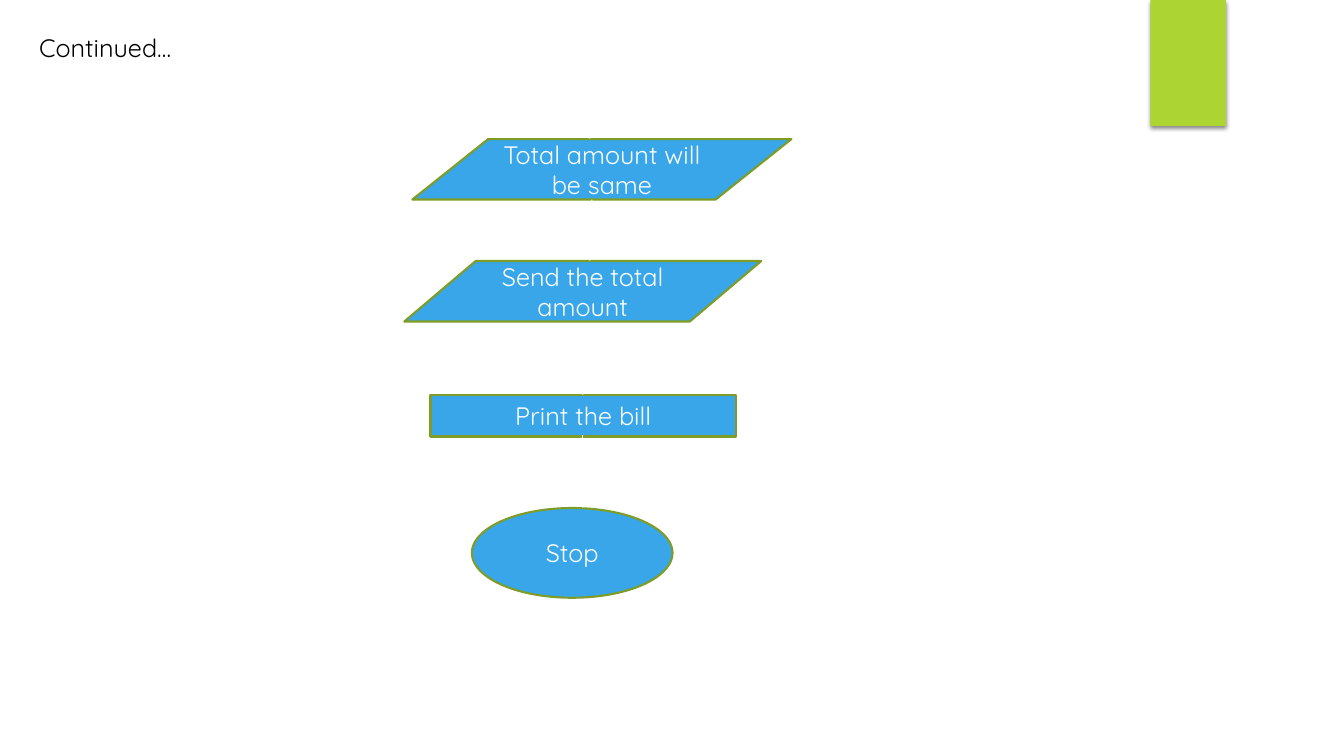
from dataclasses import dataclass

from lxml.etree import SubElement
from pptx import Presentation
from pptx.dml.color import RGBColor
from pptx.enum.shapes import MSO_CONNECTOR, MSO_SHAPE
from pptx.enum.text import MSO_ANCHOR, MSO_AUTO_SIZE, PP_ALIGN
from pptx.oxml.ns import qn
from pptx.util import Inches, Pt


@dataclass(frozen=True)
class Theme:
    font: str = "Quicksand"
    size: Pt = Pt(18)
    black: RGBColor = RGBColor(0x00, 0x00, 0x00)
    white: RGBColor = RGBColor(0xFF, 0xFF, 0xFF)
    lime: RGBColor = RGBColor(0xAC, 0xD4, 0x33)
    blue: RGBColor = RGBColor(0x38, 0xA6, 0xE9)
    olive: RGBColor = RGBColor(0x7F, 0x9D, 0x26)


theme = Theme()


def add_text(tf, text, color, align):
    tf.word_wrap = True
    p = tf.paragraphs[0]
    p.alignment = align
    r = p.add_run()
    r.text = text
    r.font.name = theme.font
    r.font.size = theme.size
    r.font.color.rgb = color


prs = Presentation()
prs.slide_width = Inches(13.33)
prs.slide_height = Inches(7.5)
s = prs.slides.add_slide(prs.slide_layouts[6])
s.background.fill.solid()
s.background.fill.fore_color.rgb = theme.white

tab = s.shapes.add_shape(MSO_SHAPE.RECTANGLE, Inches(11.41), 0, Inches(0.75), Inches(1.25))
tab.fill.solid()
tab.fill.fore_color.rgb = theme.lime
tab.line.fill.background()
effects = SubElement(tab.element.spPr, qn("a:effectLst"))
shadow = SubElement(effects, qn("a:outerShdw"), blurRad=str(Pt(3)), dist=str(Pt(2)),
                    dir="5400000", algn="ctr", rotWithShape="0")
tint = SubElement(shadow, qn("a:srgbClr"), val=str(theme.black))
SubElement(tint, qn("a:alpha"), val="45000")

steps = [
    ("Total amount will be same", MSO_SHAPE.FLOWCHART_DATA, 4.09, 1.38, 3.76, 0.6),
    ("Send the total amount", MSO_SHAPE.FLOWCHART_DATA, 4.01, 2.59, 3.54, 0.6),
    ("Print the bill", MSO_SHAPE.FLOWCHART_PROCESS, 4.27, 3.92, 3.03, 0.41),
    ("Stop", MSO_SHAPE.OVAL, 4.68, 5.04, 1.99, 0.89),
]
for text, kind, left, top, width, height in steps:
    sp = s.shapes.add_shape(kind, Inches(left), Inches(top), Inches(width), Inches(height))
    sp.shadow.inherit = False
    sp.fill.solid()
    sp.fill.fore_color.rgb = theme.blue
    sp.line.color.rgb = theme.olive
    sp.line.width = Pt(1.5)
    sp.text_frame.vertical_anchor = MSO_ANCHOR.MIDDLE
    add_text(sp.text_frame, text, theme.white, PP_ALIGN.CENTER)

title = s.shapes.add_textbox(Inches(0.29), Inches(0.27), Inches(3.04), Inches(0.4))
title.text_frame.auto_size = MSO_AUTO_SIZE.SHAPE_TO_FIT_TEXT
add_text(title.text_frame, "Continued…", theme.black, PP_ALIGN.LEFT)

arrows = [
    (5.85, 0, 5.85, 1.38),
    (5.87, 1.98, 5.85, 2.59),
    (5.78, 3.2, 5.78, 3.92),
    (5.78, 4.32, 5.78, 5.04),
]
for ends in arrows:
    arrow = s.shapes.add_connector(MSO_CONNECTOR.STRAIGHT, *map(Inches, ends))
    arrow.line.color.rgb = theme.white
    arrow.line.width = Pt(0.75)
    SubElement(arrow.line._get_or_add_ln(), qn("a:tailEnd"), type="triangle")
    SubElement(arrow.element.spPr, qn("a:effectLst"))

prs.save("out.pptx")
